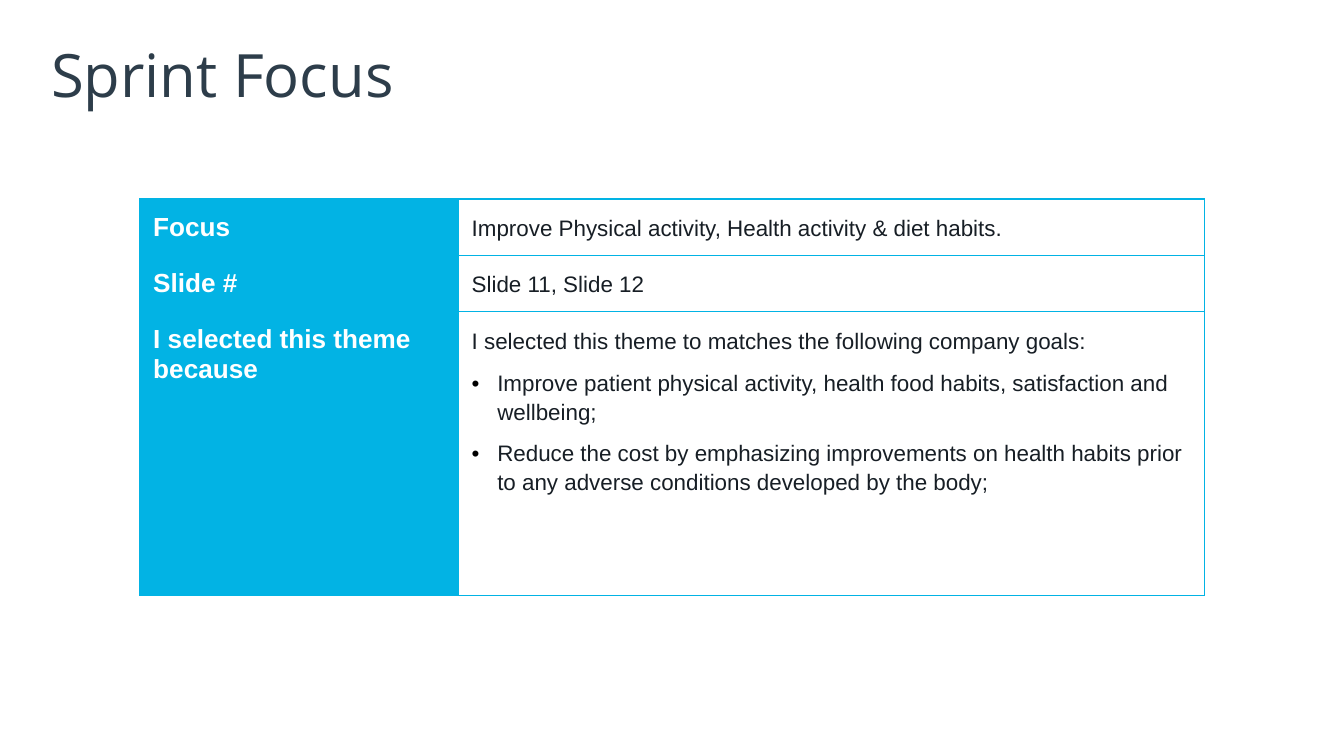
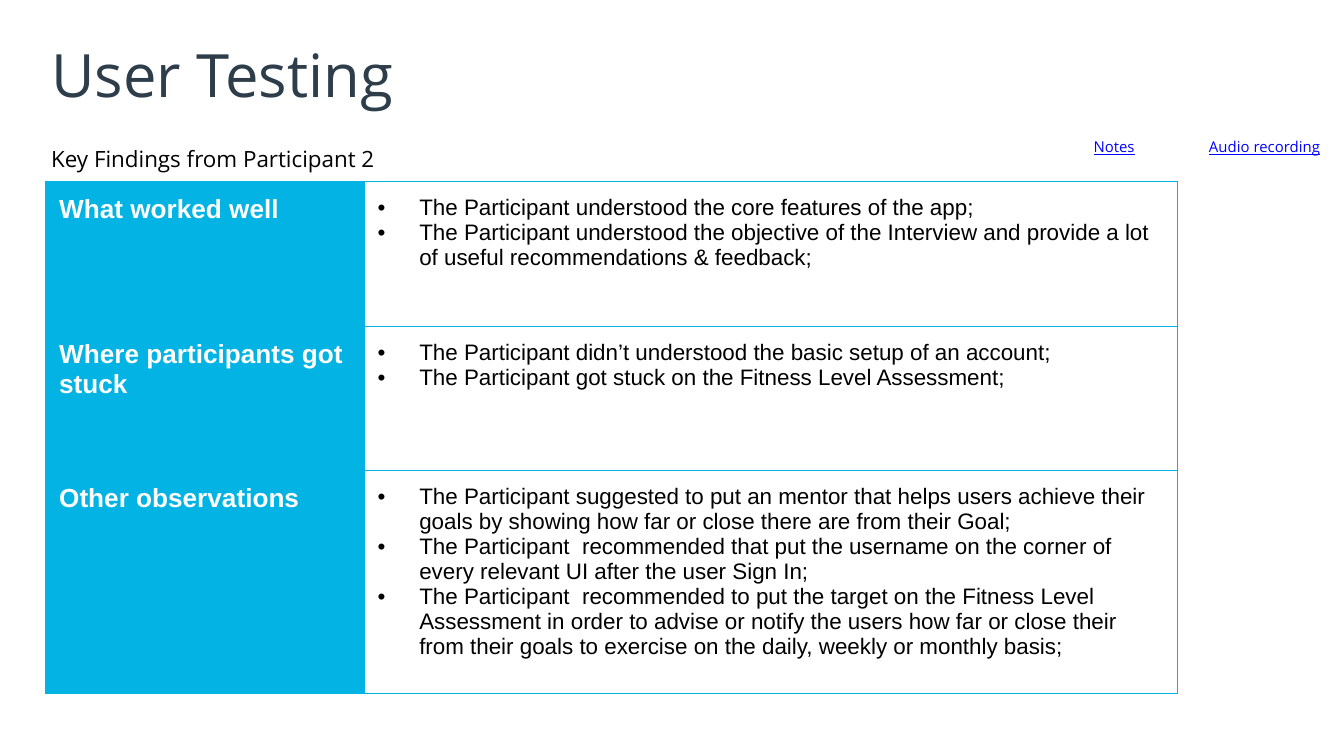
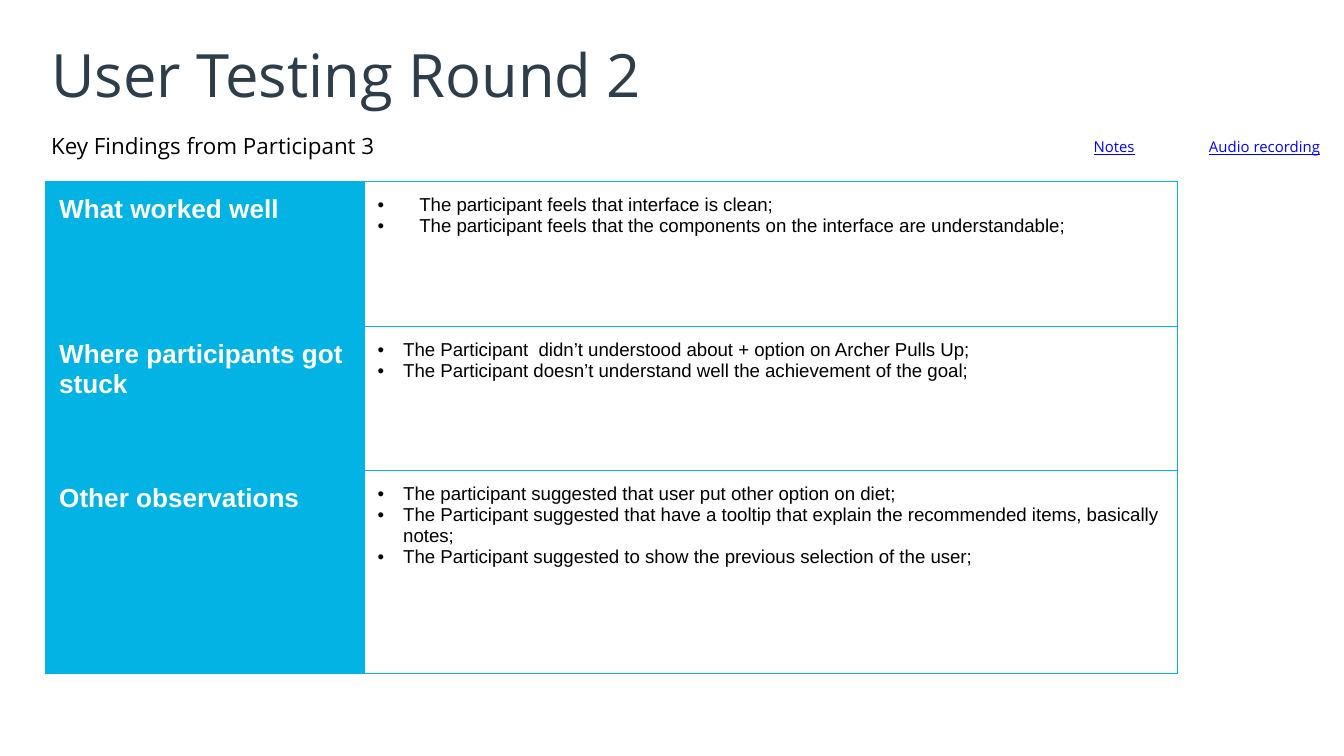
from lxml import etree
from pptx import Presentation
from pptx.dml.color import RGBColor
from pptx.enum.text import MSO_ANCHOR, PP_ALIGN
from pptx.oxml.ns import qn
from pptx.util import Inches, Pt

LEFT = PP_ALIGN.LEFT
CENTER = PP_ALIGN.CENTER
TOP = MSO_ANCHOR.TOP
MIDDLE = MSO_ANCHOR.MIDDLE
BLANK = 6
BULLET = "\u2022"
BORDERS = ("a:lnL", "a:lnR", "a:lnT", "a:lnB")


def color(value):
    return RGBColor.from_string(value)


def add_solid_fill(parent, value):
    fill = etree.SubElement(parent, qn("a:solidFill"))
    etree.SubElement(fill, qn("a:srgbClr")).set("val", value)


def write(para, text, font="Arial", size=12, ink="000000", bold=False,
          underline=False, align=LEFT, line=1.0, before=0, hang=0):
    para.alignment = align
    para.line_spacing = line
    para.space_before = Pt(before)
    if hang:
        properties = para._p.get_or_add_pPr()
        properties.set("marL", str(Inches(hang)))
        properties.set("indent", str(-Inches(hang)))
        bullet_color = etree.SubElement(properties, qn("a:buClr"))
        etree.SubElement(bullet_color, qn("a:srgbClr")).set("val", "000000")
        etree.SubElement(properties, qn("a:buFont")).set("typeface", "Arial")
        etree.SubElement(properties, qn("a:buChar")).set("char", BULLET)
    span = para.add_run()
    span.text = text
    span.font.name = font
    span.font.size = Pt(size)
    span.font.bold = bold
    span.font.underline = underline
    span.font.color.rgb = color(ink)


class SprintDeck:
    accent = "02B3E4"
    title_ink = "2D3D4A"
    body_ink = "171E25"
    link_ink = "0000FF"
    heading_font = "Open Sans"
    margin = 0.34
    label_width = 2.37

    def __init__(self):
        self.deck = Presentation()
        self.deck.slide_width = Inches(10)
        self.deck.slide_height = Inches(10 * 9 / 16)
        self.page = None

    def add_page(self, title):
        self.page = self.deck.slides.add_slide(self.deck.slide_layouts[BLANK])
        self.add_text(title, self.margin, 0.23, 9.32, 0.63, anchor=MIDDLE,
                      size=32, ink=self.title_ink)

    def add_text(self, text, left, top, width, height, inset=0.04, anchor=TOP,
                 **style):
        box = self.page.shapes.add_textbox(Inches(left), Inches(top),
                                           Inches(width), Inches(height))
        frame = box.text_frame
        frame.word_wrap = True
        frame.vertical_anchor = anchor
        frame.margin_left = frame.margin_right = Inches(inset)
        frame.margin_top = frame.margin_bottom = Inches(inset)
        write(frame.paragraphs[0], text, font=self.heading_font, **style)

    def add_subtitle(self, text, top, width):
        self.add_text(text, self.margin, top, width, 0.34, line=1.15, before=7)

    def add_source_labels(self):
        for index, text in enumerate(("Notes", "Audio recording")):
            self.add_text(text, 7.74 + 1.12 * index, 0.96, 1.1, 0.48,
                          inset=0.1, size=8, ink=self.link_ink,
                          underline=True, align=CENTER)

    def add_table(self, left, top, text_width, heights, rows):
        widths = (self.label_width, text_width)
        table = self.page.shapes.add_table(
            len(rows), len(widths), Inches(left), Inches(top),
            Inches(sum(widths)), Inches(sum(heights))).table
        table.first_row = table.horz_banding = False
        for column, width in zip(table.columns, widths):
            column.width = Inches(width)
        for index, (label, entries) in enumerate(rows):
            table.rows[index].height = Inches(heights[index])
            heading = dict(size=14, ink="FFFFFF", bold=True)
            self.fill_cell(table.cell(index, 0), [(label, heading)], self.accent)
            self.fill_cell(table.cell(index, 1), entries)

    def fill_cell(self, cell, entries, fill=None):
        cell.margin_left = cell.margin_right = cell.margin_top = Inches(0.1)
        cell.margin_bottom = Inches(0.08)
        if fill:
            cell.fill.solid()
            cell.fill.fore_color.rgb = color(fill)
        else:
            cell.fill.background()
        properties = cell._tc.get_or_add_tcPr()
        for position, tag in enumerate(BORDERS):
            border = etree.Element(qn(tag))
            border.set("w", str(Pt(0.75)))
            add_solid_fill(border, self.accent)
            properties.insert(position, border)
        frame = cell.text_frame
        for index, (text, style) in enumerate(entries):
            para = frame.add_paragraph() if index else frame.paragraphs[0]
            write(para, text, **style)

    def add_findings(self, title, participant, subtitle_top, subtitle_width,
                     last_height, size, findings):
        self.add_page(title)
        self.add_subtitle(f"Key Findings from Participant {participant}",
                          subtitle_top, subtitle_width)
        self.add_source_labels()
        labels = ("What worked well", "Where participants got stuck",
                  "Other observations")
        rows = [(label, [(text, dict(size=size, hang=hang)) for text in texts])
                for label, (hang, texts) in zip(labels, findings)]
        self.add_table(self.margin, 1.35, 6.05, (1.08, 1.07, last_height), rows)


sprint = SprintDeck()

sprint.add_page("Sprint Focus")
plain = dict(ink=sprint.body_ink, line=1.15, before=7)
bulleted = dict(plain, hang=0.19)
sprint.add_table(1.04, 1.48, 5.55, (0.42, 0.42, 2.11), [
    ("Focus", [
        ("Improve Physical activity, Health activity & diet habits.", plain)]),
    ("Slide #", [("Slide 11, Slide 12", plain)]),
    ("I selected this theme because", [
        ("I selected this theme to matches the following company goals:", plain),
        ("Improve patient physical activity, health food habits, satisfaction "
         "and wellbeing;", bulleted),
        ("Reduce the cost by emphasizing improvements on health habits prior "
         "to any adverse conditions developed by the body;", bulleted)]),
])

sprint.add_findings("User Testing", 2, 1.01, 9.32, 1.66, 12, [
    (0.31, [
        "The Participant understood the core features of the app;",
        "The Participant understood the objective of the Interview and provide "
        "a lot of useful recommendations & feedback;"]),
    (0.31, [
        "The Participant didn\u2019t understood the basic setup of an account;",
        "The Participant got stuck on the Fitness Level Assessment;"]),
    (0.31, [
        "The Participant suggested to put an mentor that helps users achieve "
        "their goals by showing how far or close there are from their Goal;",
        "The Participant  recommended that put the username on the corner of "
        "every relevant UI after the user Sign In;",
        "The Participant  recommended to put the target on the Fitness Level "
        "Assessment in order to advise or notify the users how far or close "
        "their from their goals to exercise on the daily, weekly or monthly "
        "basis;"]),
])

sprint.add_findings("User Testing Round 2", 3, 0.91, 6.93, 1.51, 10, [
    (0.31, [
        "The participant feels that interface is clean;",
        "The participant feels that the components on the interface are "
        "understandable;"]),
    (0.19, [
        "The Participant  didn\u2019t understood about + option on Archer Pulls "
        "Up;",
        "The Participant doesn\u2019t understand well the achievement of the "
        "goal;"]),
    (0.19, [
        "The participant suggested that user put other option on diet;",
        "The Participant suggested that have a tooltip that explain the "
        "recommended items, basically notes;",
        "The Participant suggested to show the previous selection of the "
        "user;"]),
])

sprint.deck.save("out.pptx")
